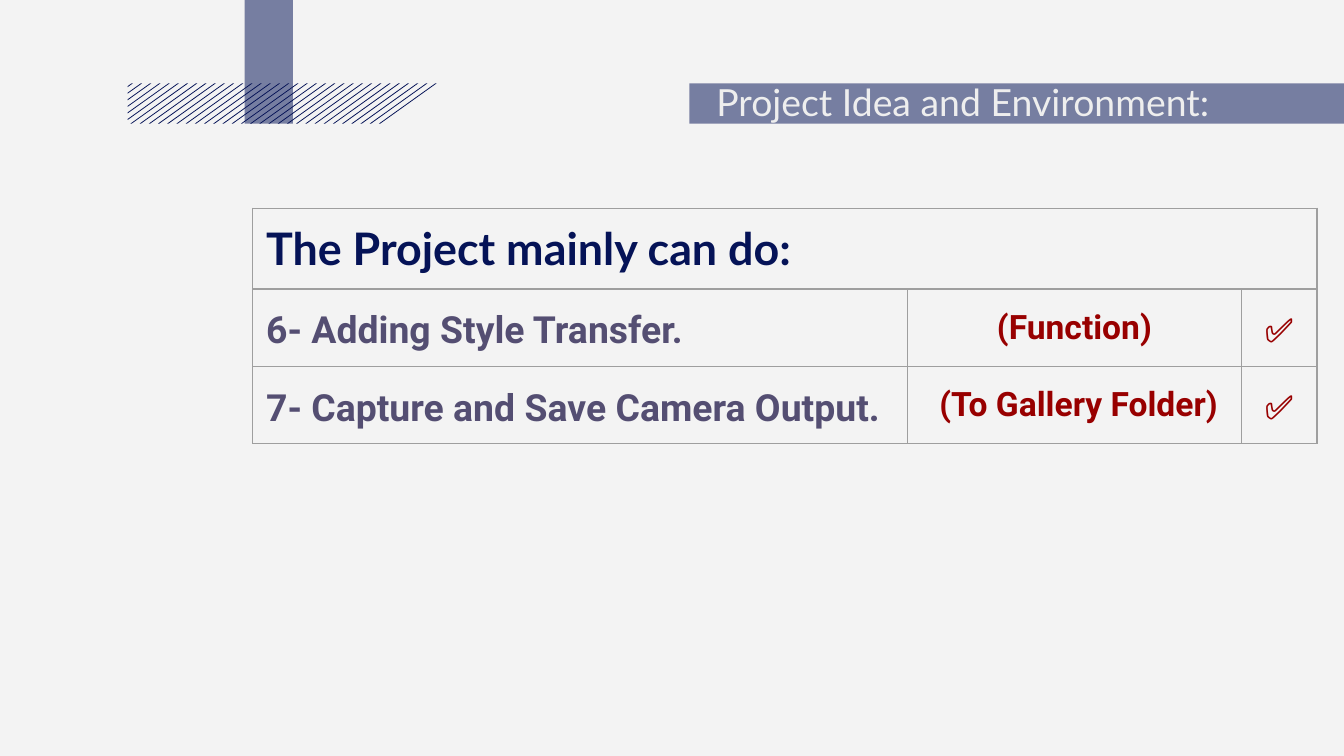
"""Build the project features slide: a title bar, a hatched accent and a feature table."""
from lxml import etree
from pptx import Presentation
from pptx import util as u
from pptx.dml.color import RGBColor
from pptx.enum import shapes, text
from pptx.oxml.ns import qn

COLORS = {"bg": "F3F3F3", "navy": "051357", "title": "EEEEEE",
          "feature": "544E72", "note": "980000", "border": "9E9E9E"}
TITLE = "Project Idea and Environment:"
HEADING = "The Project mainly can do:"
FEATURES = [
    ("6- Adding Style Transfer.", "(Function)", "✅"),
    ("7- Capture and Save Camera Output.", " (To Gallery Folder)", "✅"),
]
COLUMNS = [
    (4.87, 20, "feature", text.PP_ALIGN.LEFT, text.MSO_ANCHOR.TOP),
    (2.49, 18, "note", text.PP_ALIGN.CENTER, text.MSO_ANCHOR.TOP),
    (0.56, 18, "note", text.PP_ALIGN.CENTER, text.MSO_ANCHOR.MIDDLE),
]
ROWS = [0.6, 0.57, 0.57]
WIDTH = 10
HEIGHT = WIDTH * 9 / 16
BAND_TOP, BAND_HEIGHT = 0.62, 0.3
BARS = [(5.13, BAND_TOP, WIDTH - 5.13, BAND_HEIGHT),
        (1.82, 0, 0.36, BAND_TOP + BAND_HEIGHT)]
HATCH = {"left": 0.95, "first": 0.98, "last": 3.24, "count": 34, "run": 0.415, "width": 0.01}
HATCH["run"] = 0.42


def rgb(name):
    return RGBColor.from_string(COLORS[name])


def box(*lengths):
    return [u.Inches(length) for length in lengths]


def style(p, size, font, color, bold=False, align=text.PP_ALIGN.LEFT):
    p.alignment = align
    p.font.size, p.font.name, p.font.bold = u.Pt(size), font, bold
    p.font.color.rgb = rgb(color)


def paint(sp):
    sp.shadow.inherit = False
    sp.fill.solid()
    sp.fill.fore_color.rgb = rgb("navy")
    sp.line.fill.background()


def add_bar(s, bounds):
    sp = s.shapes.add_shape(shapes.MSO_SHAPE.RECTANGLE, *box(*bounds))
    paint(sp)
    color = sp.fill._xPr.find(qn("a:solidFill"))[0]
    etree.SubElement(color, qn("a:alpha"), val="52000")


def slant_end(x):
    share = min(1, (x - HATCH["left"]) / HATCH["run"])
    return x - share * HATCH["run"], BAND_TOP + share * BAND_HEIGHT


def add_hatch(s):
    step = (HATCH["last"] - HATCH["first"]) / (HATCH["count"] - 1)
    builder = None
    for i in range(HATCH["count"]):
        x = HATCH["first"] + i * step
        right = x + HATCH["width"]
        points = [(x, BAND_TOP), slant_end(x), slant_end(right), (right, BAND_TOP)]
        start, *rest = [box(*point) for point in points]
        if builder is None:
            builder = s.shapes.build_freeform(*start)
        else:
            builder.move_to(*start)
        builder.add_line_segments(rest, close=True)
    paint(builder.convert_to_shape())


def add_title(s):
    title = s.shapes.title
    title.left, title.top, title.width, title.height = box(5.23, 0.6, 4.77, 0.31)
    tf = title.text_frame
    tf.text = TITLE
    tf.auto_size = text.MSO_AUTO_SIZE.NONE
    tf.vertical_anchor = text.MSO_ANCHOR.MIDDLE
    tf.margin_left = tf.margin_right = tf.margin_top = tf.margin_bottom = u.Inches(0.1)
    style(tf.paragraphs[0], 20, "Lato", "title")
    tree = title._element.getparent()
    tree.append(title._element)


def format_cell(cell):
    cell.margin_left = cell.margin_right = cell.margin_top = cell.margin_bottom = u.Inches(0.1)
    tc_pr = cell._tc.get_or_add_tcPr()
    for side in ("lnL", "lnR", "lnT", "lnB"):
        line = etree.SubElement(tc_pr, qn(f"a:{side}"), w=str(u.Pt(0.75)))
        fill = etree.SubElement(line, qn("a:solidFill"))
        etree.SubElement(fill, qn("a:srgbClr"), val=COLORS["border"])
    cell.fill.background()


def add_features(s):
    widths = [column[0] for column in COLUMNS]
    frame = s.shapes.add_table(len(ROWS), len(COLUMNS),
                               *box(1.88, 1.55, sum(widths), sum(ROWS)))
    table = frame.table
    table.first_row = table.horz_banding = False
    for column, width in zip(table.columns, widths):
        column.width = u.Inches(width)
    for row, height in zip(table.rows, ROWS):
        row.height = u.Inches(height)
    for cell in table.iter_cells():
        format_cell(cell)
    heading = table.cell(0, 0)
    heading.merge(table.cell(0, len(COLUMNS) - 1))
    heading.text = HEADING
    style(heading.text_frame.paragraphs[0], 24, "Lato", "navy", True)
    for r, feature in enumerate(FEATURES, 1):
        for c, (words, column) in enumerate(zip(feature, COLUMNS)):
            _, size, color, align, anchor = column
            cell = table.cell(r, c)
            cell.text = words
            cell.vertical_anchor = anchor
            p = cell.text_frame.paragraphs[0]
            p.line_spacing = 1.15
            style(p, size, "Roboto", color, True, align)


def main():
    prs = Presentation()
    prs.slide_width, prs.slide_height = box(WIDTH, HEIGHT)
    s = prs.slides.add_slide(prs.slide_layouts[5])
    s.background.fill.solid()
    s.background.fill.fore_color.rgb = rgb("bg")
    title_bar, accent = BARS
    add_bar(s, title_bar)
    add_hatch(s)
    add_bar(s, accent)
    add_title(s)
    add_features(s)
    prs.save("out.pptx")


if __name__ == "__main__":
    main()
